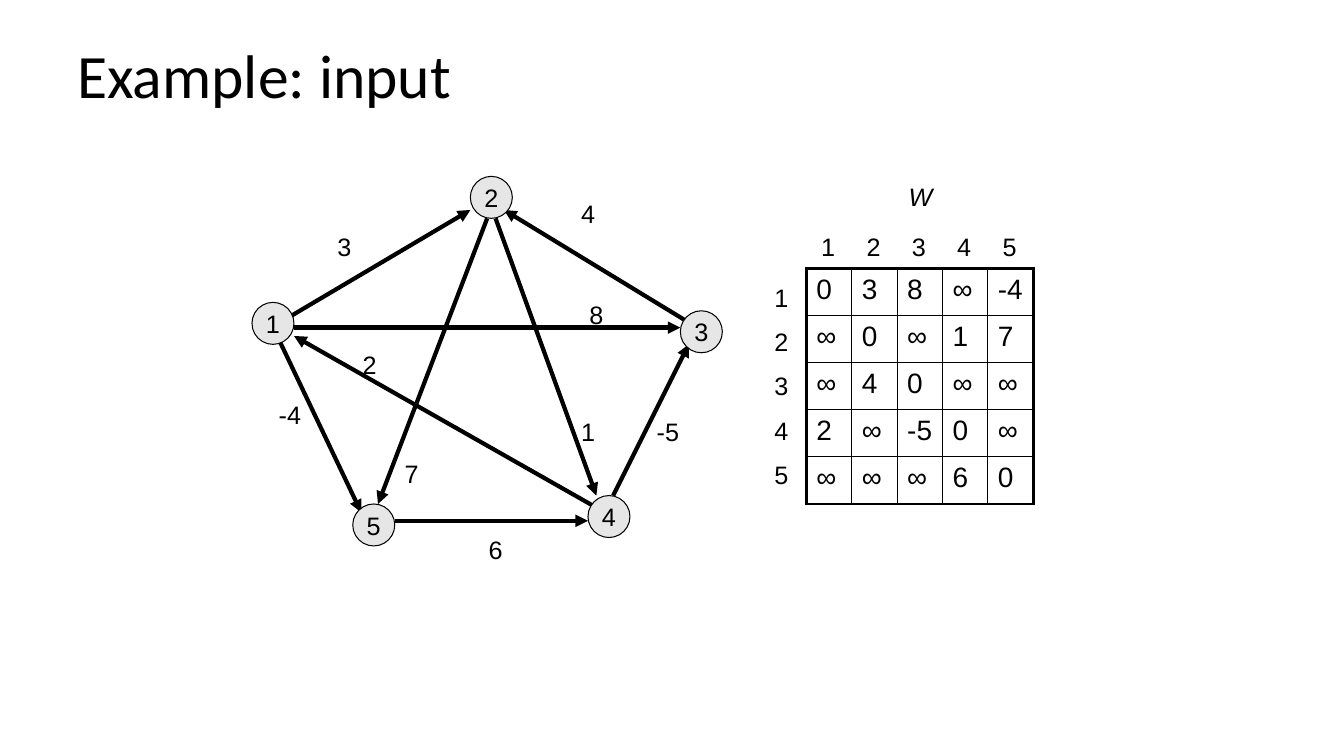
from lxml.etree import SubElement
from pptx import Presentation
from pptx.dml.color import RGBColor
from pptx.enum.shapes import MSO_CONNECTOR, MSO_SHAPE
from pptx.enum.text import MSO_ANCHOR, MSO_AUTO_SIZE, PP_ALIGN
from pptx.oxml import parse_xml
from pptx.oxml.ns import nsdecls, qn
from pptx.util import Emu, Inches, Pt

BLACK = RGBColor(0x00, 0x00, 0x00)
NODE_GREY = RGBColor(0xE7, 0xE6, 0xE6)

COLUMNS, ROWS = 160, 90
SLIDE_WIDTH, SLIDE_HEIGHT = Emu(12192000), Emu(6858000)
LABEL_HEIGHT = 4.8
NODE_SIZE = 5

TITLE_FONT = {"size": Pt(44), "name": "Calibri"}
LABEL_FONT = {"size": Pt(18), "name": "Arial"}
NAME_FONT = {**LABEL_FONT, "italic": True}
CELL_FONT = {"size": Pt(20), "name": "Arial"}

WEIGHTS = [
    ["0", "3", "8", "∞", "-4"],
    ["∞", "0", "∞", "1", "7"],
    ["∞", "4", "0", "∞", "∞"],
    ["2", "∞", "-5", "0", "∞"],
    ["∞", "∞", "∞", "6", "0"],
]
VERTICES = [str(number + 1) for number in range(len(WEIGHTS))]

NODES = {"1": (0, 15), "2": (26, 0), "3": (51, 16), "4": (40, 38), "5": (12, 39)}

# (source, target): (start, end, weight position, weight width)
EDGES = {
    (1, 5): ((3, 19), (13, 40), (2, 26), 7),
    (3, 2): ((53, 18), (30, 4), (38, 2), 7),
    (4, 1): ((42, 40), (5, 19), (12, 20), 4),
    (1, 2): ((4, 17), (26, 4), (9, 6), 5),
    (5, 4): ((17, 41), (40, 41), (27, 42), 8),
    (4, 3): ((43, 38), (52, 20), (47, 28), 6),
    (2, 5): ((28, 5), (15, 39), (17, 33), 4),
    (2, 4): ((29, 5), (41, 38), (38, 28), 3),
    (1, 3): ((5, 18), (51, 18), (39, 14), 5),
}


def across(columns):
    """Turn grid columns into a length."""
    return Emu(round(SLIDE_WIDTH * columns / COLUMNS))


def down(rows):
    """Turn grid rows into a length."""
    return Emu(round(SLIDE_HEIGHT * rows / ROWS))


def place(left, top, width, height):
    """Turn a grid box into slide lengths."""
    return across(left), down(top), across(width), down(height)


def apply(target, settings):
    """Set every attribute named in the settings."""
    for attribute, setting in settings.items():
        setattr(target, attribute, setting)


def style(paragraph, font):
    """Give a paragraph its black font."""
    apply(paragraph.font, font)
    paragraph.font.color.rgb = BLACK


def add_label(slide, box, lines, font=LABEL_FONT, spacing=Pt(0)):
    """Add a text box with one paragraph per line."""
    frame = slide.shapes.add_textbox(*place(*box)).text_frame
    frame.word_wrap = True
    frame.text = "\n".join(lines)
    for index, paragraph in enumerate(frame.paragraphs):
        paragraph.space_before = spacing if index else Pt(0)
        style(paragraph, font)
    return frame


def add_title(slide, box, heading):
    """Fill and place the title placeholder."""
    title = slide.shapes.title
    apply(title, dict(zip(("left", "top", "width", "height"), place(*box))))
    frame = title.text_frame
    frame.text = heading
    apply(frame, {"vertical_anchor": MSO_ANCHOR.MIDDLE, "auto_size": MSO_AUTO_SIZE.NONE})
    paragraph = frame.paragraphs[0]
    apply(paragraph, {"alignment": PP_ALIGN.LEFT, "line_spacing": 0.9})
    style(paragraph, TITLE_FONT)


def add_arrow(slide, start, end):
    """Draw an arrow between two slide points."""
    arrow = slide.shapes.add_connector(MSO_CONNECTOR.STRAIGHT, *start, *end)
    arrow.line.width = Pt(3)
    arrow.line.color.rgb = BLACK
    SubElement(arrow.line._get_or_add_ln(), qn("a:tailEnd"), type="triangle")
    SubElement(arrow._element.spPr, qn("a:effectLst"))


def add_node(slide, box, vertex):
    """Draw one numbered vertex."""
    node = slide.shapes.add_shape(MSO_SHAPE.OVAL, *place(*box))
    node.shadow.inherit = False
    node.fill.solid()
    node.fill.fore_color.rgb = NODE_GREY
    node.line.color.rgb = BLACK
    node.line.width = Pt(0.75)
    frame = node.text_frame
    frame.text = vertex
    apply(frame, {"word_wrap": False, "vertical_anchor": MSO_ANCHOR.MIDDLE})
    frame.paragraphs[0].alignment = PP_ALIGN.CENTER
    style(frame.paragraphs[0], LABEL_FONT)


def add_graph(slide, left, top):
    """Draw the weighted directed graph."""
    for start, end, _, _ in EDGES.values():
        add_arrow(slide, *[(across(left + x), down(top + y)) for x, y in (start, end)])
    for vertex, (x, y) in NODES.items():
        add_node(slide, (left + x, top + y, NODE_SIZE, NODE_SIZE), vertex)
    for (source, target), (_, _, (x, y), width) in EDGES.items():
        weight = WEIGHTS[source - 1][target - 1]
        add_label(slide, (left + x, top + y, width, LABEL_HEIGHT), [weight])


def set_borders(cell, row, column):
    """Draw thick outer and thin inner cell borders."""
    last = len(WEIGHTS) - 1
    outer = {"lnL": column == 0, "lnR": column == last, "lnT": row == 0, "lnB": row == last}
    properties = cell._tc.get_or_add_tcPr()
    for index, (side, thick) in enumerate(outer.items()):
        width = Pt(2.25 if thick else 1)
        properties.insert(index, parse_xml(
            f'<a:{side} {nsdecls("a")} w="{width}"><a:solidFill>'
            f'<a:srgbClr val="{BLACK}"/></a:solidFill></a:{side}>'))


def add_weight_table(slide, box):
    """Add the grid of edge weights."""
    size = len(WEIGHTS)
    table = slide.shapes.add_table(size, size, *place(*box)).table
    apply(table, {"first_row": False, "horz_banding": False})
    for row, weights in enumerate(WEIGHTS):
        table.rows[row].height = down(box[3] / size)
        table.columns[row].width = across(box[2] / size)
        for column, weight in enumerate(weights):
            cell = table.cell(row, column)
            cell.text = weight
            cell.margin_right = Inches(0.05)
            cell.fill.background()
            set_borders(cell, row, column)
            style(cell.text_frame.paragraphs[0], CELL_FONT)


def add_column_numbers(slide, box):
    """Number the matrix columns along evenly spaced tabs."""
    frame = add_label(slide, box, ["\t".join(VERTICES)])
    frame.margin_left = Inches(0.23)
    properties = frame.paragraphs[0]._p.get_or_add_pPr()
    stops = parse_xml(f'<a:tabLst {nsdecls("a")}/>')
    for step in range(1, len(VERTICES)):
        SubElement(stops, qn("a:tab"), pos=str(Inches(0.45 * step)), algn="l")
    properties.find(qn("a:defRPr")).addprevious(stops)


def add_matrix(slide, left, top):
    """Add the weight matrix with its name and numbering."""
    add_weight_table(slide, (left + 5, top + 11, 27, 28))
    add_column_numbers(slide, (left + 4, top + 6, 39, LABEL_HEIGHT))
    add_label(slide, (left, top + 12, 7, 26.5), VERTICES, spacing=Pt(10))
    add_label(slide, (left + 16, top, 9, LABEL_HEIGHT), ["W"], NAME_FONT)


def main():
    """Build and save the slide."""
    deck = Presentation()
    apply(deck, {"slide_width": SLIDE_WIDTH, "slide_height": SLIDE_HEIGHT})
    slide = deck.slides.add_slide(deck.slide_layouts[5])
    add_title(slide, (8, 3.6, 144, 11.4), "Example: input")
    add_graph(slide, 30, 21)
    add_matrix(slide, 91, 21)
    deck.save("out.pptx")


if __name__ == "__main__":
    main()
